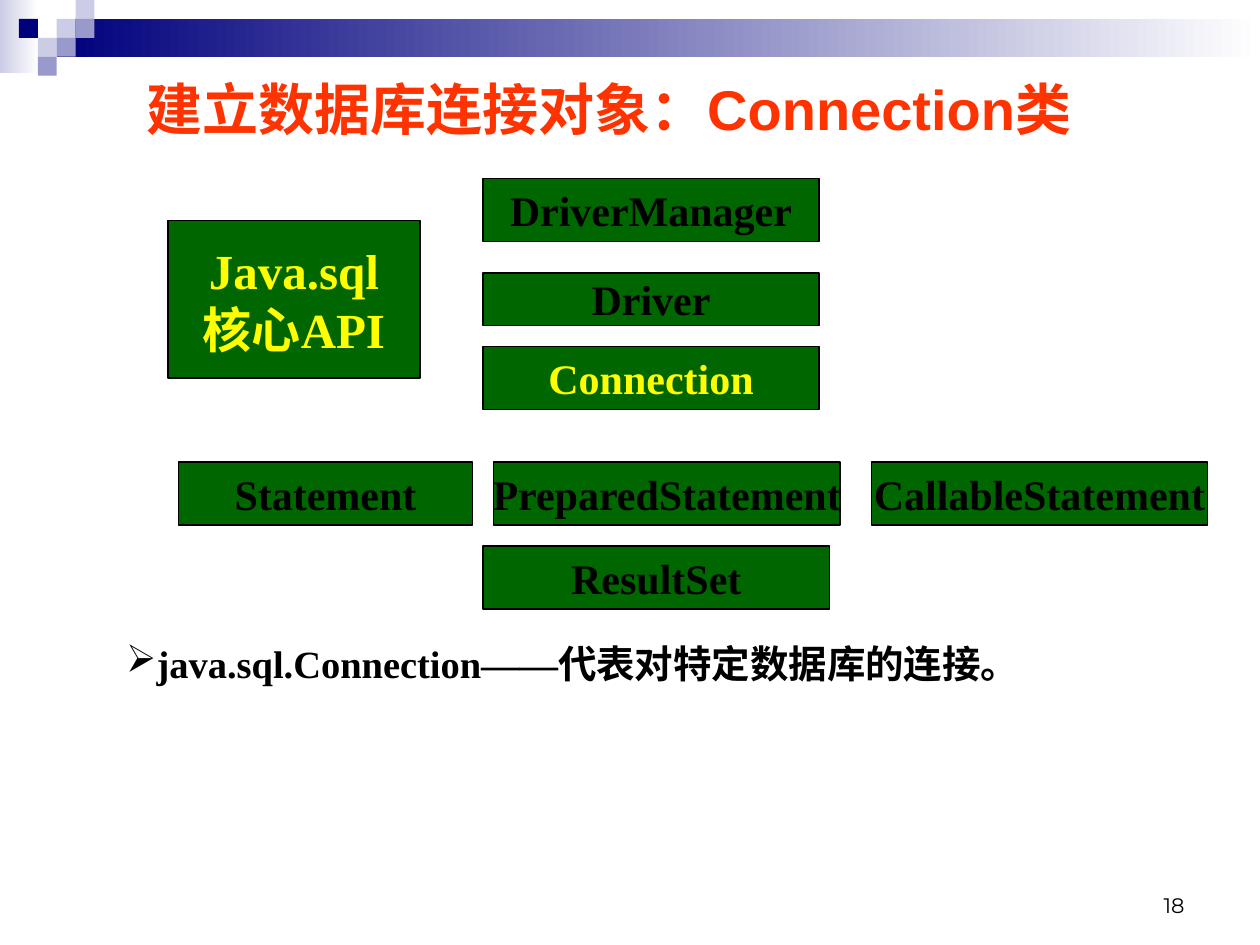
from dataclasses import dataclass

from lxml import etree
from pptx import Presentation
from pptx.dml.color import RGBColor
from pptx.enum.shapes import MSO_SHAPE as SHAPE
from pptx.enum.text import MSO_ANCHOR as ANCHOR, MSO_AUTO_SIZE as AUTO, PP_ALIGN as ALIGN
from pptx.oxml.ns import qn
from pptx.util import Pt


@dataclass(frozen=True)
class Theme:
    """Colours, fonts and type sizes of the slide."""
    navy: str = "00007D"
    lilac: str = "CCCCE6"
    violet: str = "9999CC"
    white: str = "FFFFFF"
    black: str = "000000"
    green: str = "006600"
    yellow: str = "FFFF00"
    orange: str = "FF3300"
    sans: str = "Arial"
    serif: str = "Times New Roman"
    number_font: str = "Montserrat"
    title_size: int = 32
    heading_size: int = 28
    box_size: int = 24
    body_size: int = 22
    number_size: int = 12


class SlideBuilder:
    """Adds styled elements to one slide, with lengths in points."""

    def __init__(self, slide, theme):
        """Keep the slide and its theme."""
        self.s = slide
        self.theme = theme

    def set_text(self, tf, text, size, font, color, bold=True, align=ALIGN.LEFT):
        """Set the text of a frame and format every run."""
        tf.text = text
        for p in tf.paragraphs:
            p.alignment = align
            for r in p.runs:
                r.font.size, r.font.name, r.font.bold = Pt(size), font, bold
                r.font.color.rgb = RGBColor.from_string(color)

    def rect(self, x, y, w, h):
        """Add a rectangle without shadow or outline."""
        sp = self.s.shapes.add_shape(SHAPE.RECTANGLE, Pt(x), Pt(y), Pt(w), Pt(h))
        sp.shadow.inherit = False
        sp.line.fill.background()
        return sp

    def solid(self, x, y, w, h, color):
        """Add a rectangle of one colour."""
        sp = self.rect(x, y, w, h)
        sp.fill.solid()
        sp.fill.fore_color.rgb = RGBColor.from_string(color)
        return sp

    def fade(self, x, y, w, h, color):
        """Add a rectangle fading to white from left to right."""
        sp = self.rect(x, y, w, h)
        sp.fill.gradient()
        sp.fill.gradient_angle = 0
        for stop, position, c in zip(sp.fill.gradient_stops, (0, 1), (color, self.theme.white)):
            stop.position = position
            stop.color.rgb = RGBColor.from_string(c)

    def api_box(self, x, y, w, h, text, color, size):
        """Add a green outlined box with a centred label."""
        sp = self.solid(x, y, w, h, self.theme.green)
        sp.line.color.rgb = RGBColor.from_string(self.theme.black)
        sp.line.width = Pt(0.75)
        tf = sp.text_frame
        tf.word_wrap = False
        tf.vertical_anchor = ANCHOR.MIDDLE
        self.set_text(tf, text, size, self.theme.serif, color, align=ALIGN.CENTER)

    def title(self, x, y, w, h, text):
        """Place and format the title placeholder."""
        sp = self.s.shapes.title
        sp.left, sp.top, sp.width, sp.height = Pt(x), Pt(y), Pt(w), Pt(h)
        tf = sp.text_frame
        tf.word_wrap = True
        tf.auto_size = AUTO.NONE
        tf.vertical_anchor = ANCHOR.MIDDLE
        self.set_text(tf, text, self.theme.title_size, self.theme.sans, self.theme.orange)
        tf.paragraphs[0].line_spacing = 0.9

    def text_box(self, x, y, w, h):
        """Add a wrapping text box and return its frame."""
        tf = self.s.shapes.add_textbox(Pt(x), Pt(y), Pt(w), Pt(h)).text_frame
        tf.word_wrap = True
        return tf

    def bullet(self, x, y, w, h, text):
        """Add a one-paragraph text box with an arrow bullet."""
        tf = self.text_box(x, y, w, h)
        tf.auto_size = AUTO.SHAPE_TO_FIT_TEXT
        self.set_text(tf, text, self.theme.body_size, self.theme.serif, self.theme.black)
        p = tf.paragraphs[0]
        p.line_spacing = 1.05
        p.space_before = Pt(2.2)
        pPr = p._p.get_or_add_pPr()
        bullet_color = etree.SubElement(pPr, qn("a:buClr"))
        etree.SubElement(bullet_color, qn("a:srgbClr"), val=self.theme.black)
        etree.SubElement(pPr, qn("a:buChar"), char="➢")

    def number(self, x, y, w, h, text):
        """Add the slide number."""
        tf = self.text_box(x, y, w, h)
        tf.vertical_anchor = ANCHOR.BOTTOM
        self.set_text(tf, text, self.theme.number_size, self.theme.number_font,
                      self.theme.black, bold=False, align=ALIGN.RIGHT)


def draw_banner(b, t):
    """Draw the gradient band and its mosaic of squares."""
    unit = 10.8
    b.fade(0, 0, 22, 42, t.lilac)
    b.fade(3 * unit, unit, 720 - 3 * unit, 2 * unit, t.navy)
    mosaic = [(3, 1, t.lilac), (4, 0, t.lilac), (4, 1, t.violet), (2, 2, t.lilac),
              (1, 1, t.navy), (3, 2, t.violet), (2, 3, t.violet)]
    for col, row, color in mosaic:
        b.solid(col * unit, row * unit, unit, unit, color)


def draw_api(b, t):
    """Draw the boxes of the core API."""
    boxes = [(276, 102, 192, 36, "DriverManager"),
             (276, 156, 192, 30, "Driver"),
             (276, 198, 192, 36, "Connection"),
             (282, 264, 198, 36, "PreparedStatement"),
             (102, 264, 168, 36, "Statement"),
             (498, 264, 192, 36, "CallableStatement"),
             (276, 312, 198, 36, "ResultSet")]
    for x, y, w, h, name in boxes:
        color = t.yellow if name == "Connection" else t.black
        b.api_box(x, y, w, h, name, color, t.box_size)
    b.api_box(96, 126, 144, 90, "Java.sql\n核心API", t.yellow, t.heading_size)


def main():
    """Build the slide and save it."""
    prs = Presentation()
    prs.slide_width, prs.slide_height = Pt(720), Pt(540)
    t = Theme()
    b = SlideBuilder(prs.slides.add_slide(prs.slide_layouts[5]), t)
    draw_banner(b, t)
    b.number(516, 492, 168, 36, "18")
    b.title(76.5, 31.5, 548, 65, "建立数据库连接对象：Connection类")
    b.bullet(65, 361, 570, 35, "java.sql.Connection——代表对特定数据库的连接。")
    draw_api(b, t)
    prs.save("out.pptx")


main()
